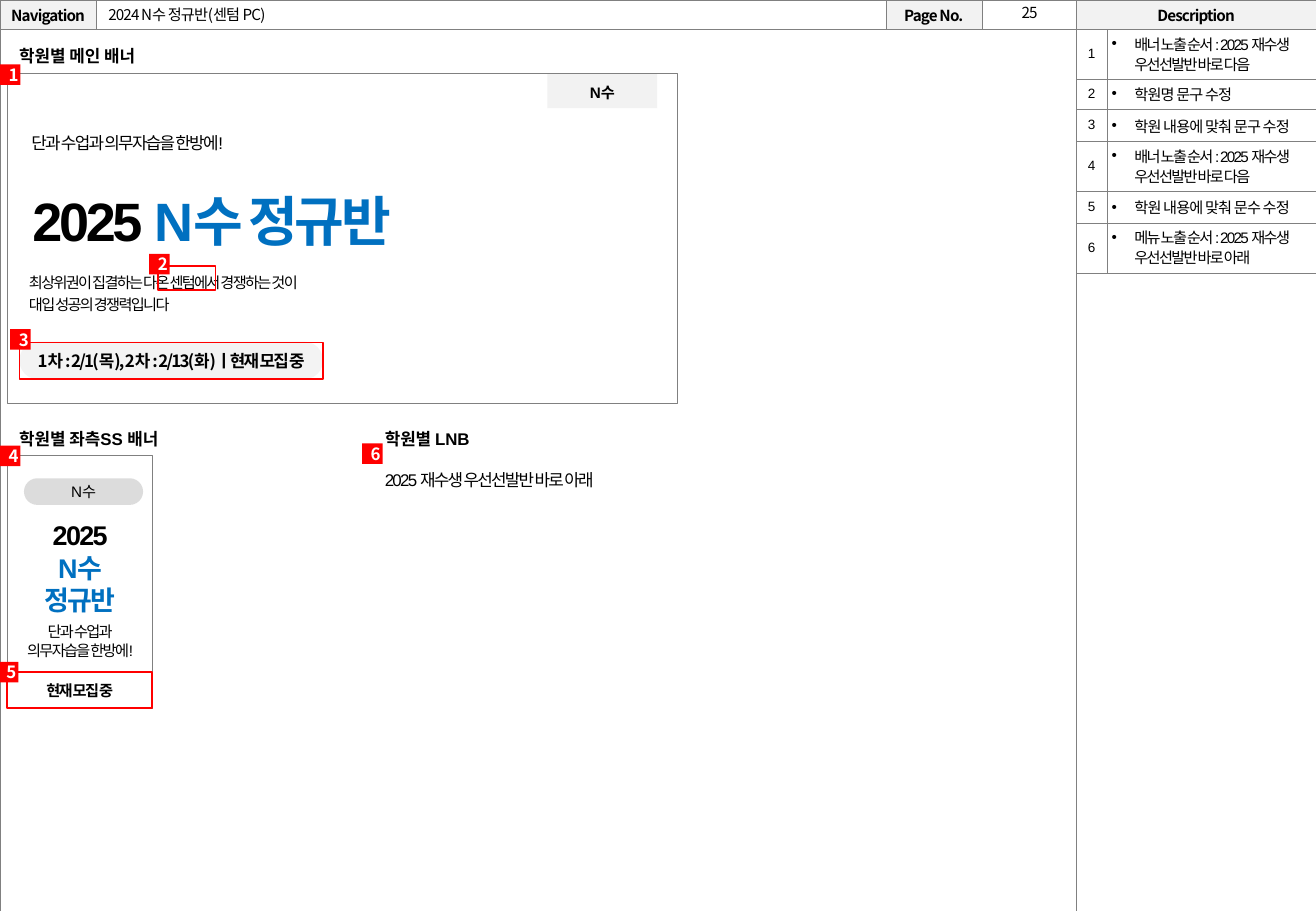
from dataclasses import dataclass
from typing import NamedTuple, Optional

from lxml.etree import SubElement
from pptx import Presentation
from pptx.dml.color import RGBColor
from pptx.enum.shapes import MSO_SHAPE
from pptx.enum.text import MSO_ANCHOR, PP_ALIGN
from pptx.oxml.ns import qn
from pptx.util import Pt

COLORS = {
    "black": "000000", "white": "FFFFFF", "gray": "808080", "light": "F2F2F2",
    "pill": "D9D9D9", "blue": "0070C0", "red": "FF0000",
}
NOTO = "Noto Sans CJK KR"
ARIAL = "Arial"
LEFT, CENTER = PP_ALIGN.LEFT, PP_ALIGN.CENTER
TOP, MIDDLE = MSO_ANCHOR.TOP, MSO_ANCHOR.MIDDLE
DEFAULT_INSETS = (7.2, 3.6, 7.2, 3.6)
NO_INSETS = (0, 0, 0, 0)


class Span(NamedTuple):
    text: str
    color: str = "black"


@dataclass(frozen=True)
class TextStyle:
    size: float
    font: str = ARIAL
    bold: bool = False
    spacing: float = 0
    align: PP_ALIGN = LEFT
    leading: float = 1.0


@dataclass(frozen=True)
class Block:
    box: tuple[float, float, float, float]
    lines: tuple[tuple[Span, ...], ...] = ()
    style: Optional[TextStyle] = None
    kind: Optional[MSO_SHAPE] = None
    fill: Optional[str] = None
    opacity: int = 100
    outline: Optional[str] = None
    outline_width: float = 0.25
    anchor: MSO_ANCHOR = TOP
    insets: tuple[float, float, float, float] = DEFAULT_INSETS
    wrap: bool = True
    gap: float = 0


class Note(NamedTuple):
    text: str
    height: float
    style: TextStyle


HEADING = TextStyle(10, bold=True)
HEADER = TextStyle(9, NOTO, True, -0.5, CENTER)
NAVIGATION = TextStyle(9, NOTO, spacing=-0.5)
PAGE_NUMBER = TextStyle(9, NOTO, spacing=-0.5, align=CENTER)
NOTE_NUMBER = TextStyle(8, spacing=-1, align=CENTER, leading=0.9)
TIGHT_NOTE = TextStyle(9, spacing=-1, leading=0.9)
LOOSE_NOTE = TextStyle(9, spacing=-0.5)
BADGE = TextStyle(10, NOTO, True, align=CENTER)
SIDE_TITLE = TextStyle(16, bold=True, spacing=-1, align=CENTER)
RECT, PILL = MSO_SHAPE.RECTANGLE, MSO_SHAPE.ROUNDED_RECTANGLE

NOTES = (
    Note("배너 노출 순서 : 2025 재수생 우선선발반 바로 다음", 29.5, TIGHT_NOTE),
    Note("학원명 문구 수정", 18, TextStyle(9, NOTO, spacing=-0.5, leading=0.9)),
    Note("학원 내용에 맞춰 문구 수정", 18, LOOSE_NOTE),
    Note("배너 노출 순서 : 2025 재수생 우선선발반 바로 다음", 29.5, TIGHT_NOTE),
    Note("학원 내용에 맞춰 문수 수정", 18, LOOSE_NOTE),
    Note("메뉴 노출 순서 : 2025 재수생 우선선발반 바로 아래", 29.5, TIGHT_NOTE),
)


def plain(*texts: str) -> tuple[tuple[Span, ...], ...]:
    """Return one black line per text."""
    return tuple((Span(text),) for text in texts)


BLOCKS = (
    Block((582.5, -1.5, 55.5, 18), plain("25"), PAGE_NUMBER),
    Block((4.3, 23.8, 92, 19.4), plain("학원별 메인 배너"), HEADING),
    Block((4.3, 43.4, 397, 195.8), kind=RECT, fill="white", outline="gray"),
    Block((324.5, 43.9, 65, 20.2), plain("N수"),
          TextStyle(9, bold=True, spacing=-1, align=CENTER, leading=1.2), RECT, "light"),
    Block((11.5, 72.7, 141, 21.6), plain("단과 수업과 의무자습을 한방에!"),
          TextStyle(10, spacing=-1, leading=1.2)),
    Block((12.2, 100, 327, 49), ((Span("2025 "), Span("N수 정규반", "blue")),),
          TextStyle(32, bold=True, spacing=-2, leading=1.2)),
    Block((10.1, 156.2, 195, 33), plain("최상위권이 집결하는 다온 센텀에서 경쟁하는 것이", "대입 성공의 경쟁력입니다"),
          TextStyle(9, spacing=-1, leading=1.2)),
    Block((11.5, 202.5, 180, 22.3), plain("1차 : 2/1(목), 2차 : 2/13(화)ㅣ현재 모집 중"),
          TextStyle(10, NOTO, True, -1, CENTER), PILL, "light", 90, anchor=MIDDLE, wrap=False),
    Block((4.3, 250.6, 107.3, 19.4), plain("학원별 좌측SS 배너"), HEADING),
    Block((221, 250.6, 242, 44), plain("학원별 LNB"), HEADING),
    Block((221, 275, 242, 22), plain("2025 재수생 우선선발반 바로 아래"), TextStyle(10, spacing=-1)),
    Block((4.3, 270, 85.9, 149.8), kind=RECT, outline="gray"),
    Block((14.2, 283.5, 70.6, 15.8), plain("N수"), TextStyle(9, spacing=-1.5, align=CENTER),
          PILL, "pill", 90, anchor=MIDDLE, wrap=False),
    Block((4.3, 398.2, 85.9, 21.6), plain("현재 모집 중"), TextStyle(9, NOTO, True, -1, CENTER),
          RECT, outline="gray", anchor=MIDDLE, wrap=False),
    Block((5, 304, 85, 65.5), ((Span("2025"),), (Span("N수", "blue"),), (Span("정규반", "blue"),)), SIDE_TITLE),
    Block((5, 365.5, 85, 29), plain("단과 수업과", "의무자습을 한방에!"),
          TextStyle(9, spacing=-1, align=CENTER)),
)
RED_FRAMES = ((93.8, 157.7, 34, 14.4), (11.5, 203, 180, 21.6), (4.3, 398.2, 85.9, 21.6))
BADGES = ((0, 38.2), (88.4, 150.5), (6, 195.1), (0, 264.2), (-1.3, 392.4), (214.6, 262.8))


def rgb(name: str) -> RGBColor:
    """Look up a named colour."""
    return RGBColor.from_string(COLORS[name])


def format_paragraph(paragraph, spans: tuple[Span, ...], style: TextStyle) -> None:
    """Write the spans and apply the style to the paragraph."""
    paragraph.alignment = style.align
    paragraph.line_spacing = style.leading
    font = paragraph.font
    font.size, font.bold, font.name = Pt(style.size), style.bold, style.font
    font.color.rgb = rgb(spans[0].color)
    properties = font._rPr
    properties.set("spc", str(round(style.spacing * 100)))
    SubElement(properties, qn("a:ea"), typeface=NOTO)
    for span in spans:
        run = paragraph.add_run()
        run.text = span.text
        if span.color != spans[0].color:
            run.font.color.rgb = rgb(span.color)


def draw_block(slide, block: Block) -> None:
    """Draw a shape or a text box with its text."""
    box = [Pt(length) for length in block.box]
    if block.kind is None:
        shape = slide.shapes.add_textbox(*box)
    else:
        shape = slide.shapes.add_shape(block.kind, *box)
        shape.shadow.inherit = False
        if block.kind == PILL:
            shape.adjustments[0] = 0.5
    if block.fill:
        shape.fill.solid()
        shape.fill.fore_color.rgb = rgb(block.fill)
        if block.opacity < 100:
            color = shape._element.spPr.find(".//" + qn("a:srgbClr"))
            SubElement(color, qn("a:alpha"), val=str(block.opacity * 1000))
    else:
        shape.fill.background()
    if block.outline:
        shape.line.color.rgb = rgb(block.outline)
        shape.line.width = Pt(block.outline_width)
    else:
        shape.line.fill.background()
    frame = shape.text_frame
    frame.word_wrap, frame.vertical_anchor = block.wrap, block.anchor
    frame.margin_left, frame.margin_top, frame.margin_right, frame.margin_bottom = map(Pt, block.insets)
    for index, spans in enumerate(block.lines):
        paragraph = frame.add_paragraph() if index else frame.paragraphs[0]
        format_paragraph(paragraph, spans, block.style)


def add_grid(slide, left: float, top: float, widths: tuple, heights: tuple, inset: float):
    """Add a table with thin gray borders and no fill."""
    table = slide.shapes.add_table(len(heights), len(widths), Pt(left), Pt(top),
                                   Pt(sum(widths)), Pt(sum(heights))).table
    table.first_row = table.horz_banding = False
    for column, width in zip(table.columns, widths):
        column.width = Pt(width)
    for row, height in zip(table.rows, heights):
        row.height = Pt(height)
    for cell in table.iter_cells():
        cell.margin_left = cell.margin_right = cell.margin_top = cell.margin_bottom = Pt(inset)
        cell.vertical_anchor = MIDDLE
        properties = cell._tc.get_or_add_tcPr()
        for edge in ("L", "R", "T", "B"):
            line = SubElement(properties, qn(f"a:ln{edge}"), w=str(Pt(0.25)))
            SubElement(SubElement(line, qn("a:solidFill")), qn("a:srgbClr"), val=COLORS["gray"])
        cell.fill.background()
    return table


def draw_frame(slide) -> None:
    """Draw the page frame with its header row."""
    table = add_grid(slide, 0, 0, (57, 468, 57, 56, 142), (17.5, 522.5), 0)
    headers = ("Navigation", "", "Page No.", "", "Description")
    for column, header in enumerate(headers):
        for row, text in enumerate((header, "")):
            cell = table.cell(row, column)
            cell.fill.solid()
            cell.fill.fore_color.rgb = rgb("light" if text else "white")
            paragraph = cell.text_frame.paragraphs[0]
            if text:
                format_paragraph(paragraph, (Span(text),), HEADER)
            else:
                SubElement(paragraph._p, qn("a:endParaRPr"), sz="900")
    table.cell(1, 0).merge(table.cell(1, 3))


def draw_notes(slide) -> None:
    """Draw the numbered description table."""
    table = add_grid(slide, 638, 17.5, (18, 124), tuple(note.height for note in NOTES), 2.9)
    for row, note in enumerate(NOTES):
        number, description = (table.cell(row, column).text_frame.paragraphs[0] for column in (0, 1))
        format_paragraph(number, (Span(str(row + 1)),), NOTE_NUMBER)
        properties = description._p.get_or_add_pPr()
        properties.set("marL", str(Pt(13.5)))
        properties.set("indent", str(-Pt(13.5)))
        SubElement(properties, qn("a:buFont"), typeface=ARIAL)
        SubElement(properties, qn("a:buChar"), char="•")
        format_paragraph(description, (Span(note.text),), note.style)


def main() -> None:
    """Build and save the slide."""
    presentation = Presentation()
    presentation.slide_width, presentation.slide_height = Pt(780), Pt(540)
    slide = presentation.slides.add_slide(presentation.slide_layouts[5])
    draw_frame(slide)
    title = slide.shapes.title
    title.left, title.top, title.width, title.height = Pt(57), Pt(0), Pt(468), Pt(17)
    title.text_frame.vertical_anchor = MIDDLE
    format_paragraph(title.text_frame.paragraphs[0], (Span("2024 N수 정규반(센텀 PC)"),), NAVIGATION)
    slide.shapes._spTree.append(title._element)
    draw_notes(slide)
    for block in BLOCKS:
        draw_block(slide, block)
    for box in RED_FRAMES:
        draw_block(slide, Block(box, kind=RECT, outline="red", outline_width=1))
    for number, (left, top) in enumerate(BADGES, 1):
        draw_block(slide, Block((left, top, 12.2, 12.2), ((Span(str(number), "white"),),), BADGE, RECT,
                                "red", anchor=MIDDLE, insets=(4, 0, 0, 0), wrap=False))
    presentation.save("out.pptx")


if __name__ == "__main__":
    main()
